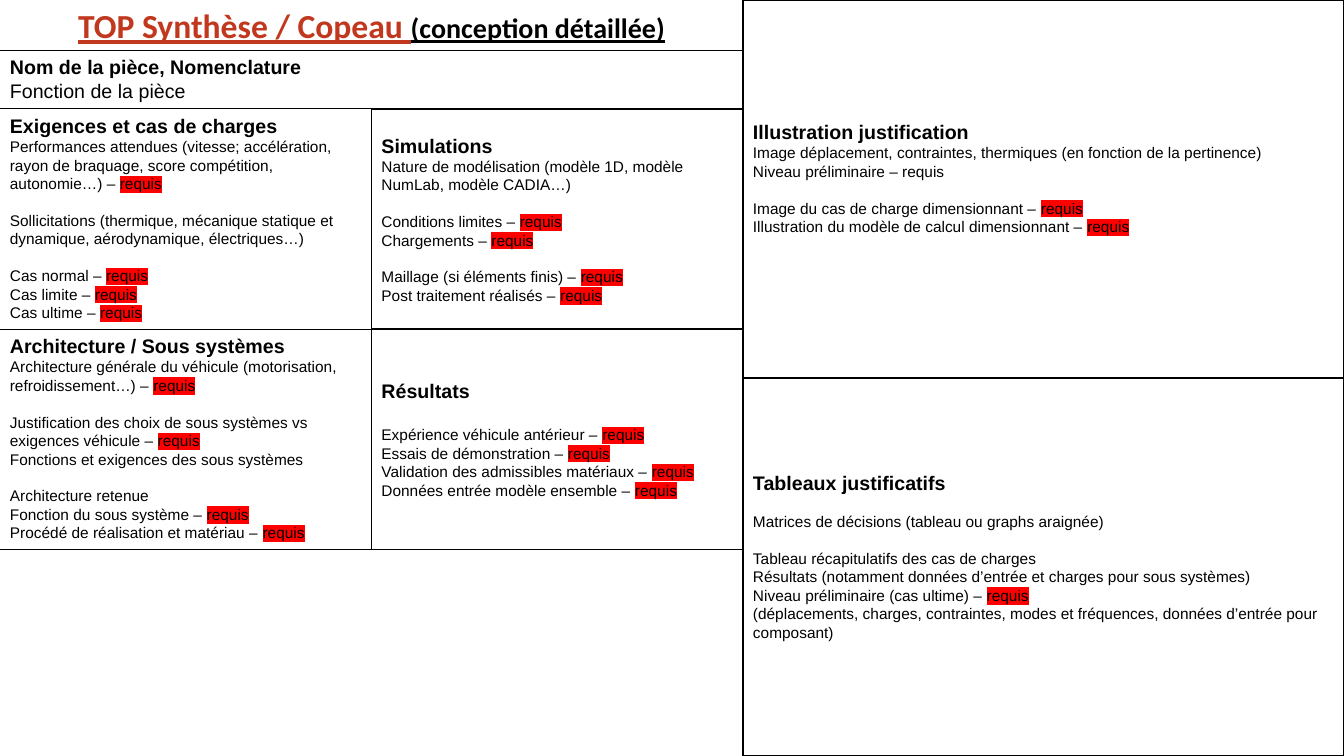
import pptx
import pptx.util
import pptx.dml.color
import pptx.enum.shapes
import pptx.enum.text
import pptx.oxml
import pptx.oxml.ns

Inches = pptx.util.Inches
Pt = pptx.util.Pt
RGBColor = pptx.dml.color.RGBColor
Anchor = pptx.enum.text.MSO_ANCHOR
Align = pptx.enum.text.PP_ALIGN

BLACK = RGBColor(0, 0, 0)
RUST = RGBColor(0xC2, 0x38, 0x1E)
RED = RGBColor(0xFF, 0, 0)

HEAD = {"name": "Arial", "size": Pt(14), "bold": True}
SUB = {"name": "Arial", "size": Pt(14), "bold": False}
BODY = {"name": "Arial", "size": Pt(11), "bold": False}
TITLE = {"name": "Calibri", "size": Pt(24), "bold": True, "underline": True}
PHASE = TITLE | {"size": Pt(20)}

# A star ends a line with the marked word; None leaves a gap before the next line
NEEDS = ["Exigences et cas de charges",
         "Performances attendues (vitesse; accélération, rayon de braquage, "
         "score compétition, autonomie…) – *", None,
         "Sollicitations (thermique, mécanique statique et dynamique, "
         "aérodynamique, électriques…)", None,
         "Cas normal – *", "Cas limite – *", "Cas ultime – *"]
MODELS = ["Simulations",
          "Nature de modélisation (modèle 1D, modèle NumLab, modèle CADIA…)", None,
          "Conditions limites – *", "Chargements – *", None,
          "Maillage (si éléments finis) – *", "Post traitement réalisés – *"]
SYSTEMS = ["Architecture / Sous systèmes",
           "Architecture générale du véhicule (motorisation, refroidissement…) – *", None,
           "Justification des choix de sous systèmes vs exigences véhicule – *",
           "Fonctions et exigences des sous systèmes", None,
           "Architecture retenue", "Fonction du sous système – *",
           "Procédé de réalisation et matériau – *"]
RESULTS = ["Résultats", None,
           "Expérience véhicule antérieur – *", "Essais de démonstration – *",
           "Validation des admissibles matériaux – *",
           "Données entrée modèle ensemble – *"]
IMAGES = ["Illustration justification",
          "Image déplacement, contraintes, thermiques (en fonction de la pertinence)",
          "Niveau préliminaire – requis", None,
          "Image du cas de charge dimensionnant – *",
          "Illustration du modèle de calcul dimensionnant – *"]
TABLES = ["Tableaux justificatifs", None,
          "Matrices de décisions (tableau ou graphs araignée)", None,
          "Tableau récapitulatifs des cas de charges",
          "Résultats (notamment données d’entrée et charges pour sous systèmes)",
          "Niveau préliminaire (cas ultime) – *",
          "(déplacements, charges, contraintes, modes et fréquences, "
          "données d’entrée pour composant)"]


def add_run(para, text, style, color=BLACK, mark=False):
    run = para.add_run()
    run.text = text
    for key, value in style.items():
        setattr(run.font, key, value)
    run.font.color.rgb = color
    if mark:
        tag = pptx.oxml.parse_xml(
            f'<a:highlight {pptx.oxml.ns.nsdecls("a")}>'
            f'<a:srgbClr val="{RED}"/></a:highlight>')
        run.font.fill  # the colour comes before the highlight
        run.font.color
        run._r.rPr.find(pptx.oxml.ns.qn("a:solidFill")).addnext(tag)


def set_frame(frame, anchor, foot=0.05):
    form = {"word_wrap": True, "vertical_anchor": anchor,
            "margin_left": Inches(0.1), "margin_right": Inches(0.1),
            "margin_top": Inches(0.05), "margin_bottom": Inches(foot)}
    for key, value in form.items():
        setattr(frame, key, value)


def add_panel(slide, box, lines, line=1, anchor=Anchor.MIDDLE, foot=0.05,
              gap=13, body=BODY):
    """Outlined box: bold heading, then body lines."""
    panel = slide.shapes.add_shape(pptx.enum.shapes.MSO_SHAPE.RECTANGLE,
                                   *map(Inches, box))
    panel.shadow.inherit = False
    panel.fill.background()
    panel.line.color.rgb = BLACK
    panel.line.width = Pt(line)
    frame = panel.text_frame
    set_frame(frame, anchor, foot)
    space = 0
    for i, text in enumerate(lines):
        if text is None:
            space = gap
            continue
        para = frame.add_paragraph() if i else frame.paragraphs[0]
        para.alignment = Align.LEFT
        para.space_before = Pt(space)
        space = 0
        add_run(para, text.rstrip("*"), body if i else HEAD)
        if text.endswith("*"):
            add_run(para, "requis", body, mark=True)


def add_header(slide, box):
    """Title above the part name."""
    left, top, width, height = box
    title = slide.shapes.add_textbox(*map(Inches, (left, top, width, 0.5)))
    set_frame(title.text_frame, Anchor.TOP)
    para = title.text_frame.paragraphs[0]
    para.alignment = Align.CENTER
    add_run(para, "TOP Synthèse / Copeau ", TITLE, RUST)
    add_run(para, "(conception détaillée)", PHASE)
    add_panel(slide, (left, top + 0.5, width, height - 0.5),
              ["Nom de la pièce, Nomenclature", "Fonction de la pièce"],
              0.75, Anchor.TOP, body=SUB)


def add_grid(slide, box):
    """Two by two panels: inputs on the left, outputs on the right."""
    left, top, width, height = box
    wide, high = width / 2, height / 2
    for row, (first, second, gap) in enumerate([(NEEDS, MODELS, 13),
                                                (SYSTEMS, RESULTS, 16)]):
        y = top + row * high
        add_panel(slide, (left, y, wide, high), first, 0.75, Anchor.TOP)
        add_panel(slide, (left + wide, y, wide, high), second, gap=gap)


def add_proofs(slide, box):
    """Two stacked panels, their text set a little above the middle."""
    left, top, width, height = box
    high = height / 2
    for row, lines in enumerate([IMAGES, TABLES]):
        add_panel(slide, (left, top + row * high, width, high), lines, foot=0.27)


deck = pptx.Presentation()
deck.slide_width, deck.slide_height = Inches(13.33), Inches(7.5)
page = deck.slides.add_slide(deck.slide_layouts[6])
add_header(page, (0, 0, 7.37, 1.08))
add_grid(page, (0, 1.08, 7.37, 4.37))
add_proofs(page, (7.37, 0, 5.96, 7.5))
deck.save("out.pptx")
